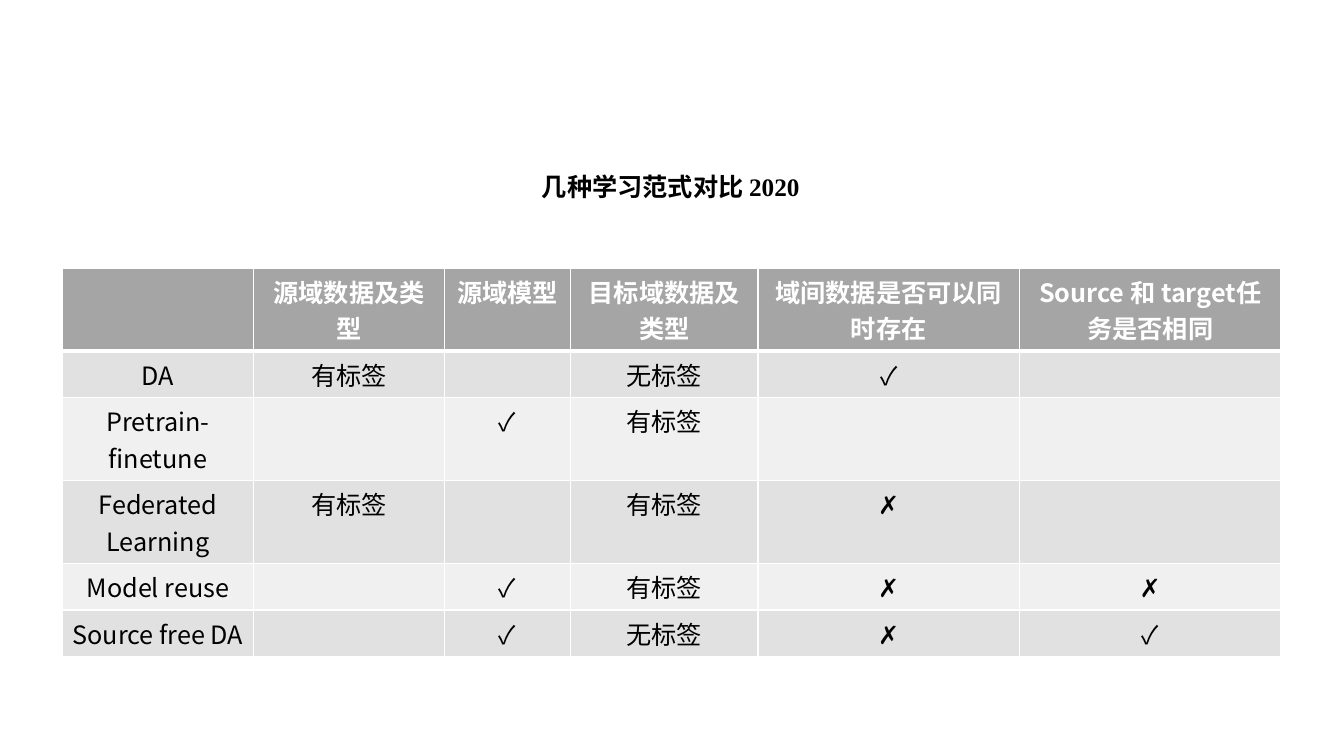
from dataclasses import dataclass

from lxml.etree import SubElement
from pptx import Presentation
from pptx.dml.color import RGBColor
from pptx.enum.text import MSO_AUTO_SIZE as AutoSize, MSO_ANCHOR as Anchor, PP_ALIGN as Align
from pptx.oxml.ns import qn
from pptx.util import Pt


@dataclass(frozen=True)
class Theme:
    heading_font: str = "Times New Roman"
    table_font: str = "Noto Sans CJK SC"
    text_size: float = 18
    ink: str = "000000"
    white: str = "FFFFFF"
    header_fill: str = "A5A5A5"
    odd_fill: str = "E1E1E1"
    even_fill: str = "F0F0F0"
    thin_rule: float = 1
    header_rule: float = 3


THEME = Theme()
HEADING = "几种学习范式对比 2020"
COLUMN_WIDTHS = (136.5, 136.5, 90, 133.9, 186.8, 186.8)
ONE_LINE, TWO_LINES = 33.2, 59.3
ROW_HEIGHTS = (TWO_LINES, ONE_LINE, TWO_LINES, TWO_LINES, ONE_LINE, ONE_LINE)
YES, NO = "✓", "✗"
LABELED, UNLABELED = "有标签", "无标签"
PARADIGMS = (
    ("", "源域数据及类型", "源域模型", "目标域数据及类型",
     "域间数据是否可以同时存在", "Source 和 target任务是否相同"),
    ("DA", LABELED, "", UNLABELED, YES, ""),
    ("Pretrain-finetune", "", YES, LABELED, "", ""),
    ("Federated Learning", LABELED, "", LABELED, NO, ""),
    ("Model reuse", "", YES, LABELED, NO, NO),
    ("Source free DA", "", YES, UNLABELED, NO, YES),
)


def set_values(target, values):
    for name, value in values.items():
        setattr(target, name, value)


def write_text(para, text, font_name, color, bold):
    para.font.size = Pt(THEME.text_size)
    if not text:
        return
    span = para.add_run()
    span.text = text
    set_values(span.font, {"name": font_name, "size": Pt(THEME.text_size), "bold": bold})
    span.font.color.rgb = RGBColor.from_string(color)
    SubElement(span._r.get_or_add_rPr(), qn("a:ea"), typeface=THEME.table_font)


def add_heading(page):
    box = page.shapes.title
    set_values(box, {"left": Pt(379.8), "top": Pt(118.8), "width": Pt(200.2), "height": Pt(28.8)})
    frame = box.text_frame
    set_values(frame, {"word_wrap": True, "vertical_anchor": Anchor.TOP,
                       "auto_size": AutoSize.SHAPE_TO_FIT_TEXT})
    para = frame.paragraphs[0]
    para.alignment = Align.LEFT
    write_text(para, HEADING, THEME.heading_font, THEME.ink, True)


def add_borders(cell, top, bottom):
    properties = cell._tc.get_or_add_tcPr()
    rules = {"lnL": THEME.thin_rule, "lnR": THEME.thin_rule, "lnT": top, "lnB": bottom}
    for side, width in rules.items():
        line = SubElement(properties, qn(f"a:{side}"), w=str(Pt(width)))
        SubElement(SubElement(line, qn("a:solidFill")), qn("a:srgbClr"), val=THEME.white)


def format_cell(cell, text, row_index):
    is_header = row_index == 0
    band = THEME.odd_fill if row_index % 2 else THEME.even_fill
    add_borders(
        cell,
        top=THEME.header_rule if row_index == 1 else THEME.thin_rule,
        bottom=THEME.header_rule if is_header else THEME.thin_rule,
    )
    cell.fill.solid()
    cell.fill.fore_color.rgb = RGBColor.from_string(THEME.header_fill if is_header else band)
    para = cell.text_frame.paragraphs[0]
    para.alignment = Align.CENTER
    write_text(para, text, THEME.table_font, THEME.white if is_header else THEME.ink, is_header)


def add_paradigm_table(page):
    table = page.shapes.add_table(
        len(ROW_HEIGHTS), len(COLUMN_WIDTHS), Pt(44.6), Pt(191.5),
        Pt(sum(COLUMN_WIDTHS)), Pt(sum(ROW_HEIGHTS)),
    ).table
    for column, width in zip(table.columns, COLUMN_WIDTHS):
        column.width = Pt(width)
    for row, height in zip(table.rows, ROW_HEIGHTS):
        row.height = Pt(height)
    for row_index, texts in enumerate(PARADIGMS):
        for column_index, text in enumerate(texts):
            format_cell(table.cell(row_index, column_index), text, row_index)


def main():
    deck = Presentation()
    set_values(deck, {"slide_width": Pt(960), "slide_height": Pt(540)})
    page = deck.slides.add_slide(deck.slide_layouts.get_by_name("Title Only"))
    add_paradigm_table(page)
    add_heading(page)
    deck.save("out.pptx")


if __name__ == "__main__":
    main()
